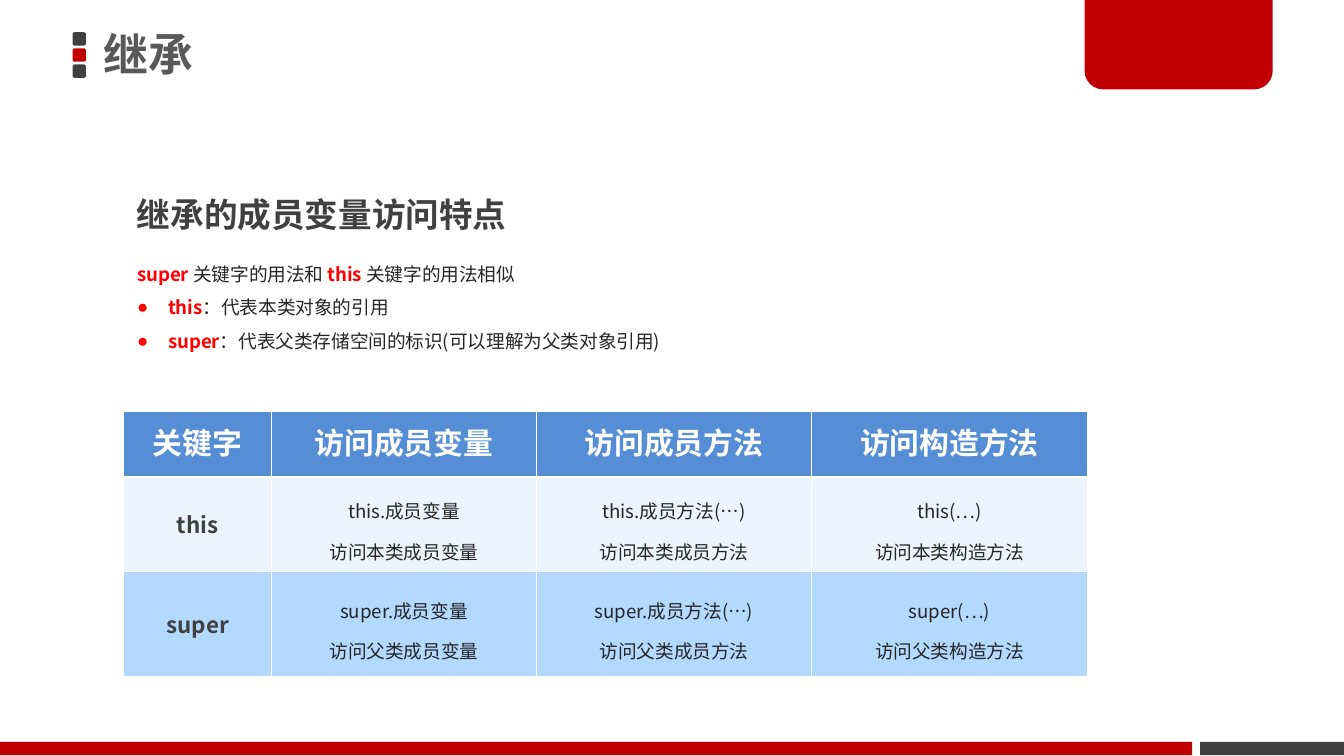
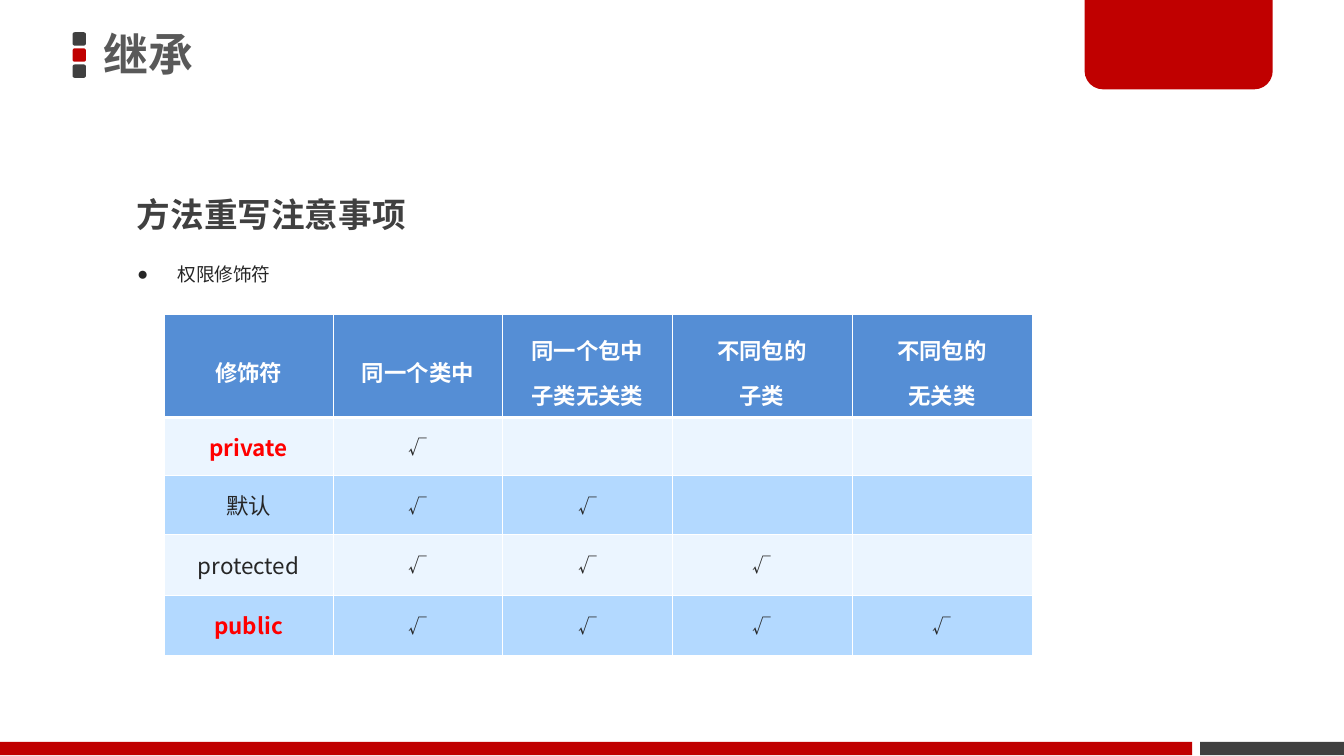
from lxml import etree
from pptx import Presentation
from pptx import util as u
from pptx.dml.color import RGBColor
from pptx.enum import shapes, text
from pptx.oxml import ns

COLORS = {
    "red": "C00000", "dark": "404040", "title": "595959", "ink": "262626",
    "keyword": "FF0000", "white": "FFFFFF", "header": "558ED5",
    "light": "EBF5FF", "blue": "B3D9FF",
}
FONT = "Noto Sans CJK SC"
CELL = 0.1
CENTER = text.PP_ALIGN.CENTER
MIDDLE = text.MSO_ANCHOR.MIDDLE
TOP = text.MSO_ANCHOR.TOP


def rgb(name):
    return RGBColor.from_string(COLORS[name])


def cells(count):
    return u.Inches(round(count * CELL, 3))


def write(paragraph, content, size=10, color="ink", bold=False,
          align=text.PP_ALIGN.LEFT, spacing=1.0):
    paragraph.alignment = align
    paragraph.line_spacing = spacing
    paragraph.space_before = u.Pt(0)
    run = paragraph.add_run()
    run.text = content
    run.font.size = u.Pt(size)
    run.font.bold = bold
    run.font.name = FONT
    run.font.color.rgb = rgb(color)
    etree.SubElement(run.font._element, ns.qn("a:ea"), typeface=FONT)


def set_bullet(paragraph, color, indent):
    properties = paragraph._p.get_or_add_pPr()
    width = cells(indent)
    properties.set("marL", str(width))
    properties.set("indent", str(-width))
    if color is None:
        etree.SubElement(properties, ns.qn("a:buNone"))
        return
    tint = etree.SubElement(properties, ns.qn("a:buClr"))
    etree.SubElement(tint, ns.qn("a:srgbClr"), val=COLORS[color])
    etree.SubElement(properties, ns.qn("a:buChar"), char="●")


def set_borders(cell, top, bottom):
    properties = cell._tc.get_or_add_tcPr()
    widths = {"lnL": 0.45, "lnR": 0.45, "lnT": top, "lnB": bottom}
    for position, (side, width) in enumerate(widths.items()):
        line = etree.Element(ns.qn(f"a:{side}"), w=str(u.Pt(width)))
        fill = etree.SubElement(line, ns.qn("a:solidFill"))
        etree.SubElement(fill, ns.qn("a:srgbClr"), val=COLORS["white"])
        properties.insert(position, line)


class Deck:
    def __init__(self):
        self.show = Presentation()
        self.show.slide_width = u.Inches(10)
        self.show.slide_height = self.show.slide_width * 9 // 16
        self.slide = None

    def new_slide(self, title, heading):
        self.slide = self.show.slides.add_slide(self.show.slide_layouts[1])
        self.decorate()
        frame = self.place(self.slide.shapes.title, (6.9, -0.2, 58.9, 8.9),
                           MIDDLE, (0.8, 0.4))
        write(frame.paragraphs[0], title, size=24, color="title", bold=True, spacing=0.9)
        box = self.slide.shapes.add_textbox(0, 0, 0, 0)
        frame = self.place(box, (9.2, 12.4, 38.4, 5.5))
        write(frame.paragraphs[0], heading, size=18, color="dark", bold=True, spacing=1.5)

    def place(self, holder, area, anchor=TOP, inset=(1, 0.5)):
        holder.left, holder.top, holder.width, holder.height = map(cells, area)
        frame = holder.text_frame
        frame.word_wrap = True
        frame.auto_size = text.MSO_AUTO_SIZE.NONE
        frame.vertical_anchor = anchor
        frame.margin_left = frame.margin_right = cells(inset[0])
        frame.margin_top = frame.margin_bottom = cells(inset[1])
        return frame

    def block(self, kind, area, color, adjustments=()):
        shape = self.slide.shapes.add_shape(kind, *map(cells, area))
        shape.shadow.inherit = False
        shape.fill.solid()
        shape.fill.fore_color.rgb = rgb(color)
        shape.line.fill.background()
        for index, value in enumerate(adjustments):
            shape.adjustments[index] = value

    def decorate(self):
        kinds = shapes.MSO_SHAPE
        for step, color in enumerate(("dark", "red", "dark")):
            self.block(kinds.ROUNDED_RECTANGLE, (5.4, 2.4 + 1.2 * step, 1, 1), color)
        self.block(kinds.RECTANGLE, (89.3, 55.2, 10.7, 1), "dark")
        self.block(kinds.ROUND_2_SAME_RECTANGLE, (80.7, -0.2, 14, 6.85), "red", (0, 0.2))
        self.block(kinds.RECTANGLE, (0, 55.2, 88.7, 1), "red")

    def points(self, area, items):
        frame = self.place(self.slide.placeholders[1], area)
        for number, (color, indent, runs) in enumerate(items):
            paragraph = frame.add_paragraph() if number else frame.paragraphs[0]
            set_bullet(paragraph, color, indent)
            for content, style in runs:
                write(paragraph, content, spacing=1.5, **style)

    def table(self, corner, widths, heights, rows, header_style, header_anchor, label_styles):
        area = (*corner, sum(widths), sum(heights))
        grid = self.slide.shapes.add_table(len(heights), len(widths), *map(cells, area)).table
        grid.horz_banding = False
        for column, width in zip(grid.columns, widths):
            column.width = cells(width)
        for r, (row, height, entries) in enumerate(zip(grid.rows, heights, rows)):
            row.height = cells(height)
            fill = "header" if r == 0 else ("blue", "light")[r % 2]
            for c, cell in enumerate(row.cells):
                cell.fill.solid()
                cell.fill.fore_color.rgb = rgb(fill)
                set_borders(cell, 1.47 if r == 1 else 0.45, 1.47 if r == 0 else 0.45)
                cell.vertical_anchor = MIDDLE if r else header_anchor
                if c >= len(entries):
                    continue
                lines = entries[c].split("\n")
                if r == 0:
                    style = dict(header_style, color="white", bold=True, spacing=u.Pt(24))
                elif c == 0:
                    style = dict(label_styles[r - 1], size=12)
                else:
                    style = {"spacing": 1.5 if len(lines) > 1 else 1.0}
                frame = cell.text_frame
                for number, content in enumerate(lines):
                    paragraph = frame.add_paragraph() if number else frame.paragraphs[0]
                    write(paragraph, content, align=CENTER, **style)


def main():
    deck = Deck()
    keyword = {"color": "keyword", "bold": True}
    plain = {}

    deck.new_slide("继承", "继承的成员变量访问特点")
    deck.points((9.2, 18.2, 84.9, 11), [
        (None, 0, [("super ", keyword), ("关键字的用法和 ", plain),
                   ("this ", keyword), ("关键字的用法相似", plain)]),
        ("keyword", 2.3, [("this", keyword), ("：代表本类对象的引用", plain)]),
        ("keyword", 2.3, [("super", keyword),
                          ("：代表父类存储空间的标识(可以理解为父类对象引用)", plain)]),
    ])
    targets = ("成员变量", "成员方法", "构造方法")
    access = [["关键字"] + [f"访问{target}" for target in targets]]
    for word, owner in (("this", "本类"), ("super", "父类")):
        calls = (f"{word}.成员变量", f"{word}.成员方法(…)", f"{word}(…)")
        access.append([word] + [f"{call}\n访问{owner}{target}"
                                for call, target in zip(calls, targets)])
    deck.table((9.2, 30.6), (11, 19.7, 20.5, 20.5), (4.9, 7, 7.8), access,
               {"size": 16}, TOP, [{"color": "dark", "bold": True}] * 2)

    deck.new_slide("继承", "方法重写注意事项")
    deck.points((9.2, 18.2, 73.9, 3.5), [("ink", 3, [("权限修饰符", plain)])])
    scopes = ["修饰符", "同一个类中", "同一个包中\n子类无关类",
              "不同包的\n子类", "不同包的\n无关类"]
    modifiers = ("private", "默认", "protected", "public")
    visibility = [[modifier] + ["√"] * count for count, modifier in enumerate(modifiers, 1)]
    deck.table((12.2, 23.4), (12.6, 12.6, 12.6, 13.4, 13.4), (7.6, 4.3, 4.4, 4.5, 4.5),
               [scopes] + visibility, {"size": 12}, MIDDLE,
               [keyword, plain, plain, keyword])

    deck.show.save("out.pptx")


if __name__ == "__main__":
    main()
